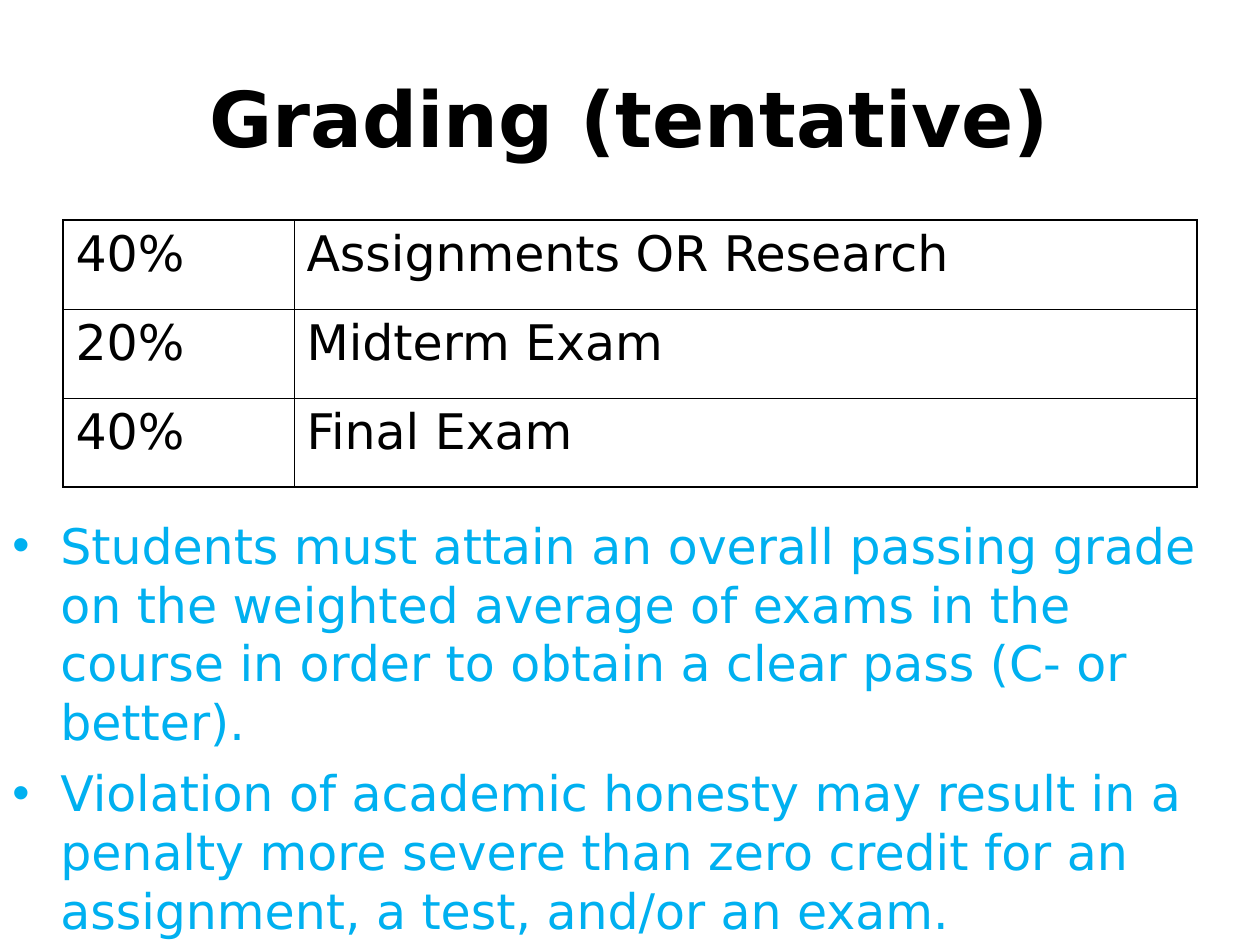
"""Build the grading slide: a title, a table of weights and two rules."""
from dataclasses import dataclass

from lxml import etree
from pptx import Presentation
from pptx.dml.color import RGBColor
from pptx.enum.text import MSO_ANCHOR, PP_ALIGN
from pptx.oxml.ns import qn
from pptx.util import Pt

CENTER, LEFT = PP_ALIGN.CENTER, PP_ALIGN.LEFT
MIDDLE, TOP = MSO_ANCHOR.MIDDLE, MSO_ANCHOR.TOP
SCALE = 914400 / 126


@dataclass(frozen=True)
class Theme:
    font: str = "DejaVu Sans"
    ink: str = "000000"
    blue: str = "00B0F0"
    head: int = 44
    body: int = 28
    gap: int = 7
    thick: float = 1.08
    thin: float = 0.45


@dataclass(frozen=True)
class Box:
    left: int
    top: int
    width: int
    height: int

    def emu(self) -> tuple:
        return tuple(map(px, (self.left, self.top, self.width, self.height)))


@dataclass(frozen=True)
class Grade:
    share: str
    task: str


THEME = Theme()
TITLE = Box(63, 38, 1134, 158)
GRID = Box(63, 220, 1134, 267)
NOTES = Box(0, 509, 1260, 436)
COLS = (231, 903)
INDENT = 48
GRADES = (
    Grade("40%", "Assignments OR Research"),
    Grade("20%", "Midterm Exam"),
    Grade("40%", "Final Exam"),
)
RULES = (
    "Students must attain an overall passing grade on the weighted average of exams "
    "in the course in order to obtain a clear pass (C- or better).",
    "Violation of academic honesty may result in a penalty more severe than zero "
    "credit for an assignment, a test, and/or an exam.",
)


def px(size: int) -> int:
    return round(size * SCALE)


def add_dot(para, color: str) -> None:
    props = para._p.get_or_add_pPr()
    props.set("marL", str(px(INDENT)))
    props.set("indent", str(-px(INDENT)))
    tint = etree.SubElement(props, qn("a:buClr"))
    etree.SubElement(tint, qn("a:srgbClr"), val=color)
    etree.SubElement(props, qn("a:buFont"), typeface="Arial")
    etree.SubElement(props, qn("a:buChar"), char="•")


def write(frame, *lines: str, size: int = THEME.body, color: str = THEME.ink,
          bold: bool = False, align=LEFT, anchor=TOP, dots: bool = False) -> None:
    frame.word_wrap = True
    frame.vertical_anchor = anchor
    for i, line in enumerate(lines):
        para = frame.add_paragraph() if i else frame.paragraphs[0]
        para.alignment = align
        if dots:
            add_dot(para, color)
        if i:
            para.space_before = Pt(THEME.gap)
        run = para.add_run()
        run.text = line
        font = run.font
        font.name, font.size, font.bold = THEME.font, Pt(size), bold
        font.color.rgb = RGBColor.from_string(color)


def add_text(slide, box: Box, *lines: str, **style) -> None:
    write(slide.shapes.add_textbox(*box.emu()).text_frame, *lines, **style)


def add_edges(cell, outer: dict[str, bool]) -> None:
    props = cell._tc.get_or_add_tcPr()
    for i, (side, edge) in enumerate(outer.items()):
        width = Pt(THEME.thick if edge else THEME.thin)
        line = etree.Element(qn(f"a:ln{side}"), w=str(int(width)))
        fill = etree.SubElement(line, qn("a:solidFill"))
        etree.SubElement(fill, qn("a:srgbClr"), val=THEME.ink)
        props.insert(i, line)


def add_grid(slide, box: Box, grades: tuple[Grade, ...]) -> None:
    rows, cols = len(grades), len(COLS)
    table = slide.shapes.add_table(rows, cols, *box.emu()).table
    table.first_row = table.horz_banding = False
    for col, width in zip(table.columns, COLS):
        col.width = px(width)
    for r, grade in enumerate(grades):
        table.rows[r].height = px(box.height // rows)
        for c, text in enumerate((grade.share, grade.task)):
            cell = table.cell(r, c)
            cell.fill.background()
            write(cell.text_frame, text)
            add_edges(cell, {"L": c == 0, "R": c == cols - 1,
                             "T": r == 0, "B": r == rows - 1})


def main() -> None:
    deck = Presentation()
    deck.slide_width, deck.slide_height = px(1260), px(945)
    slide = deck.slides.add_slide(deck.slide_layouts[6])
    add_text(slide, TITLE, "Grading (tentative)", size=THEME.head, bold=True,
             align=CENTER, anchor=MIDDLE)
    add_grid(slide, GRID, GRADES)
    add_text(slide, NOTES, *RULES, color=THEME.blue, dots=True)
    deck.save("out.pptx")


if __name__ == "__main__":
    main()
